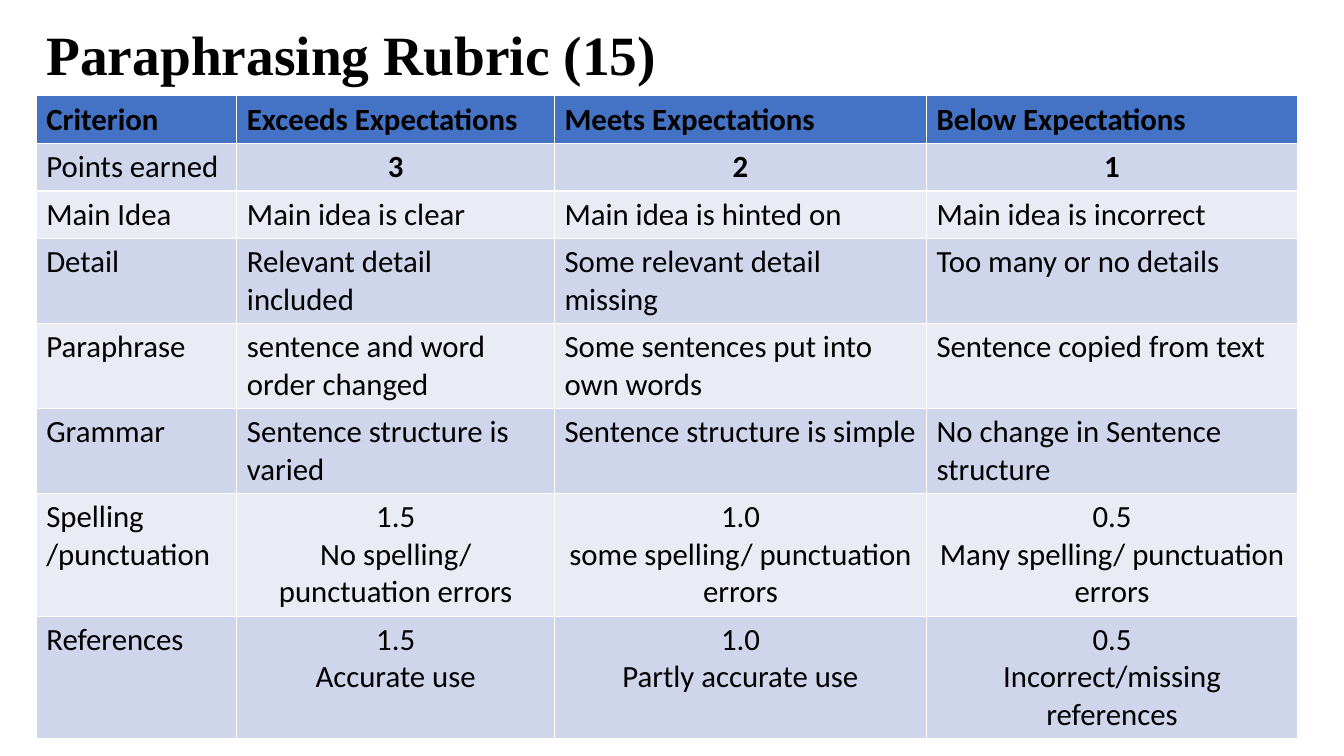
"""Build the paraphrasing rubric slide."""
from pptx import Presentation
from pptx.dml.color import RGBColor
from pptx.enum.text import MSO_ANCHOR, MSO_AUTO_SIZE, PP_ALIGN
from pptx.util import Inches, Pt

LEFT, CENTER = PP_ALIGN.LEFT, PP_ALIGN.CENTER
MIDDLE = MSO_ANCHOR.MIDDLE
NO_FIT = MSO_AUTO_SIZE.NONE
COLORS = {"text": "000000", "head": "4472C4", "dark": "CFD5EA", "light": "E9EBF5"}
WIDTHS = [1.99, 3.15, 3.69, 3.68]
HEIGHT = 0.41
ROWS = [
    ["Criterion", "Exceeds Expectations", "Meets Expectations", "Below Expectations"],
    ["Points earned", "3", "2", "1"],
    ["Main Idea", "Main idea is clear", "Main idea is hinted on", "Main idea is incorrect"],
    ["Detail", "Relevant detail included", "Some relevant detail missing",
     "Too many or no details"],
    ["Paraphrase", "sentence and word order changed",
     "Some sentences put into own words", "Sentence copied from text"],
    ["Grammar", "Sentence structure is varied", "Sentence structure is simple",
     "No change in Sentence structure"],
    ["Spelling /punctuation", "1.5\nNo spelling/ punctuation errors",
     "1.0\nsome spelling/ punctuation errors", "0.5\nMany spelling/ punctuation errors"],
    ["References", "1.5\nAccurate use", "1.0\nPartly accurate use",
     "0.5\nIncorrect/missing references"],
]
SCORED = {"Points earned", "Spelling /punctuation", "References"}


def add_run(para, text, font, size, bold):
    run = para.add_run()
    run.text = text
    run.font.name = font
    run.font.size = Pt(size)
    run.font.bold = bold
    run.font.color.rgb = RGBColor.from_string(COLORS["text"])


deck = Presentation()
deck.slide_width, deck.slide_height = Inches(13.33), Inches(7.5)
slide = deck.slides.add_slide(deck.slide_layouts[5])

title = slide.shapes.title
title.left, title.top = Inches(0.36), Inches(0.2)
title.width, title.height = Inches(11.94), Inches(0.75)
frame = title.text_frame
frame.auto_size = NO_FIT
frame.vertical_anchor = MIDDLE
head = frame.paragraphs[0]
head.alignment = LEFT
head.line_spacing = 0.9
add_run(head, "Paraphrasing Rubric (15)", "Times New Roman", 39.6, True)

holder = slide.shapes.add_table(len(ROWS), len(WIDTHS), Inches(0.36), Inches(0.95),
                                Inches(sum(WIDTHS)), Inches(HEIGHT * len(ROWS)))
table = holder.table
for col, width in zip(table.columns, WIDTHS):
    col.width = Inches(width)

for r, row in enumerate(ROWS):
    table.rows[r].height = Inches(HEIGHT)
    shade = "head" if r == 0 else "dark" if r % 2 else "light"
    for c, text in enumerate(row):
        cell = table.cell(r, c)
        cell.fill.solid()
        cell.fill.fore_color.rgb = RGBColor.from_string(COLORS[shade])
        bold = r == 0 or (r == 1 and c > 0)
        for i, line in enumerate(text.split("\n")):
            body = cell.text_frame
            para = body.add_paragraph() if i else body.paragraphs[0]
            para.alignment = CENTER if c and row[0] in SCORED else LEFT
            add_run(para, line, "Calibri", 22, bold)
holder.height = Inches(6.3)

deck.save("out.pptx")
